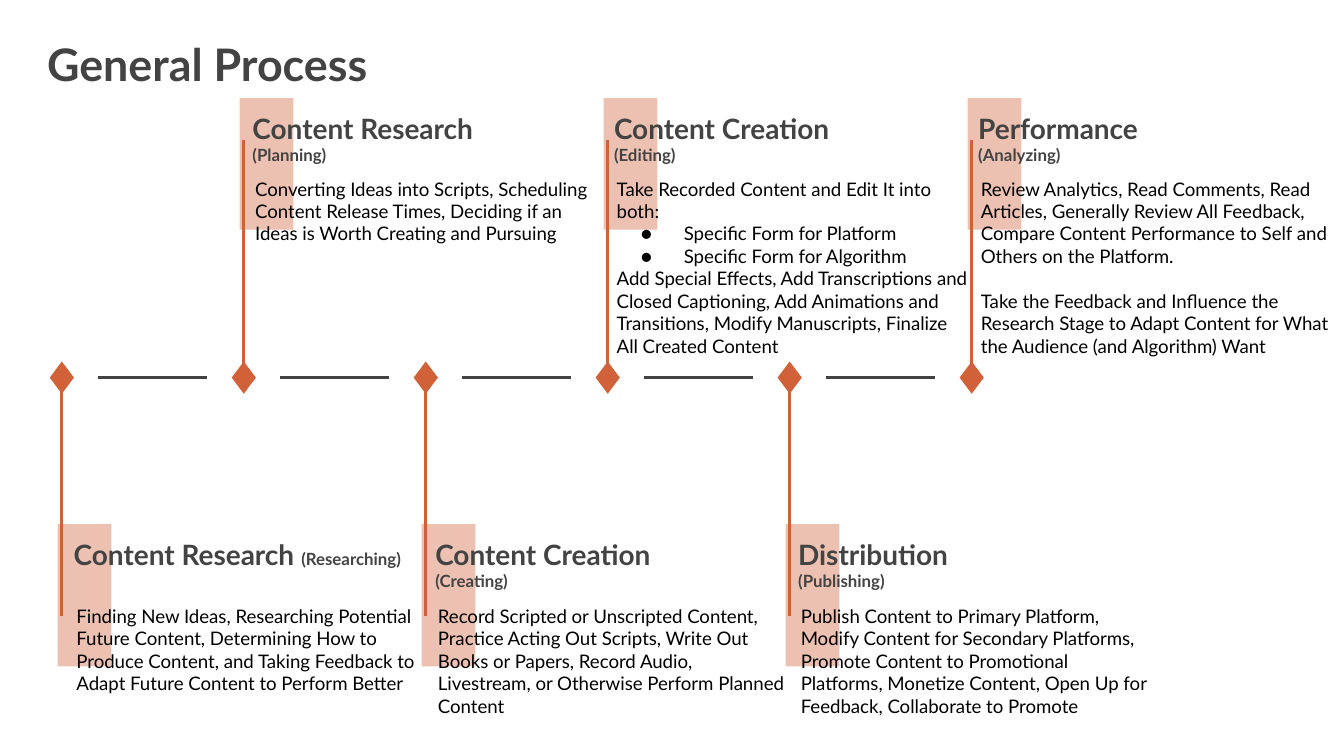
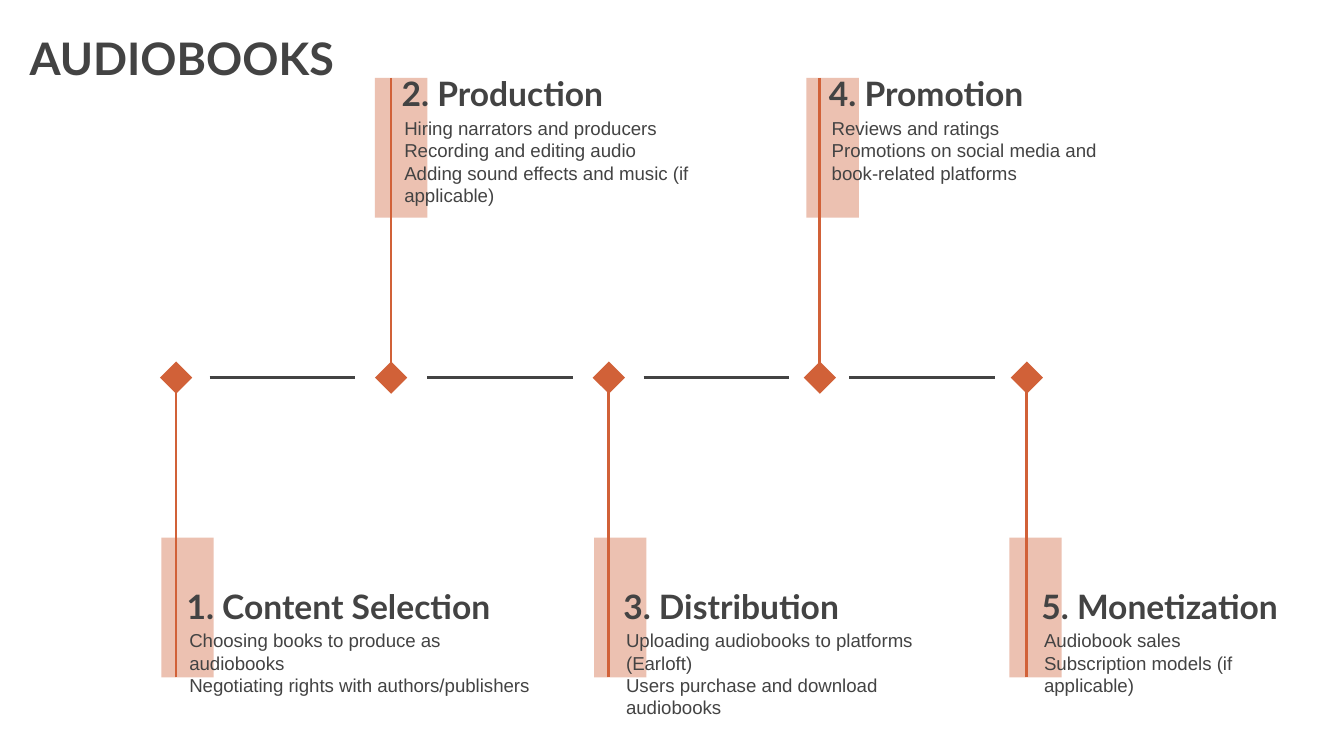
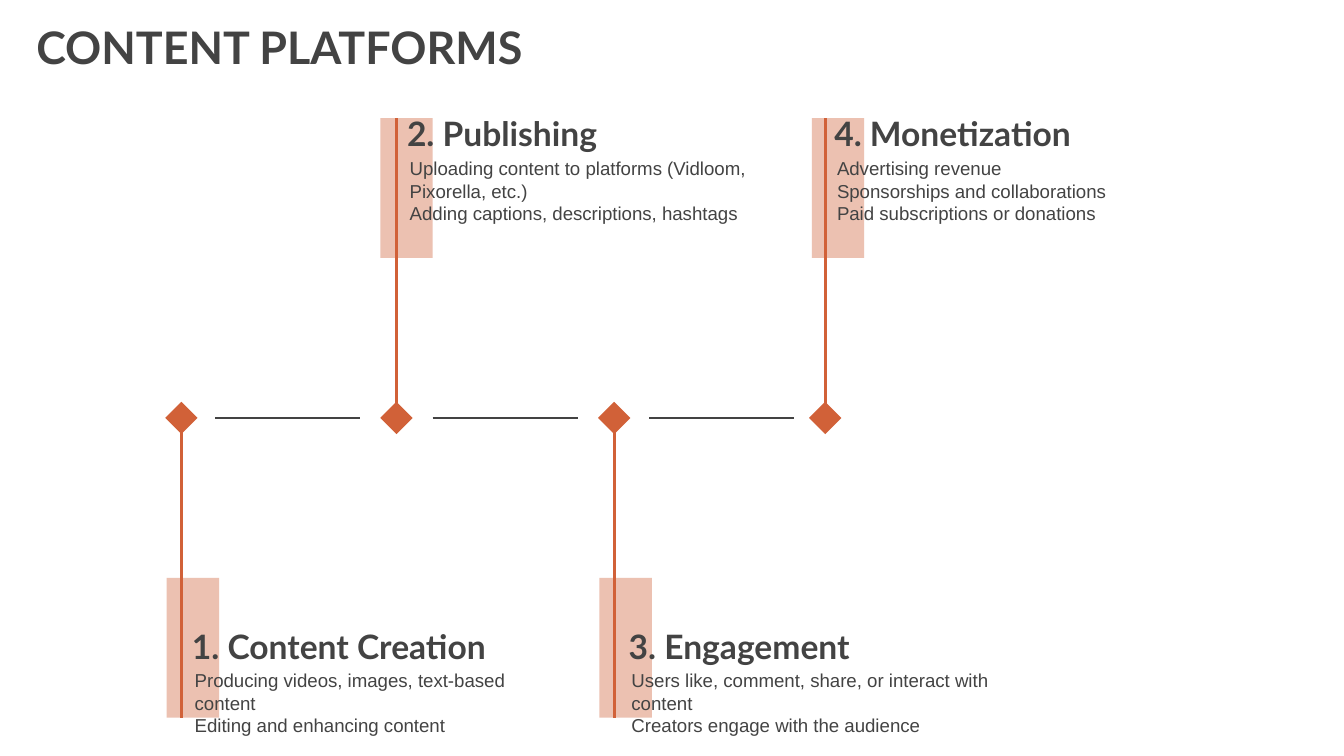
from copy import deepcopy
from dataclasses import dataclass

from lxml import etree
from pptx import Presentation
from pptx import util as u
from pptx.dml.color import RGBColor
from pptx.enum import shapes, text
from pptx.oxml import ns

GRAY, ORANGE, PEACH, BLACK = "434343", "D16138", "DF957A", "000000"
LATO, ARIAL = "Lato", "Arial"
TITLE_ONLY = 5


@dataclass
class Row:
    """Heights, in inches, of the parts above or below the axis."""
    band_top: float
    band_height: float
    stem_end: float
    heading_top: float
    heading_height: float
    body_top: float
    body_height: float

    def shifted(self, dy):
        return Row(self.band_top + dy, self.band_height, self.stem_end + dy,
                   self.heading_top + dy, self.heading_height,
                   self.body_top + dy, self.body_height)


@dataclass
class Line:
    text: str
    bullet: bool = False
    before: float = 0


@dataclass
class Step:
    stem: float
    band: float
    text_left: float
    heading: list  # paragraphs, each a list of (text, size)
    body: list
    heading_width: float = 2.81
    body_width: float = 2.81


@dataclass
class Timeline:
    axis: float
    marker_width: float
    band_width: float
    lower: Row
    upper: Row
    body_font: str
    body_color: str
    link_width: float


def rgb(color):
    return RGBColor.from_string(color)


def add_child(parent, tag, **attributes):
    return etree.SubElement(parent, ns.qn(tag), attributes)


def add_span(para, words, *, size, font=LATO, color=GRAY, bold=False):
    """Add a run; a newline at the end of words becomes a line break."""
    span = para.add_run()
    span.text = words.rstrip("\n")
    span.font.size = u.Pt(size)
    span.font.name = font
    span.font.bold = bold
    span.font.color.rgb = rgb(color)
    if words.endswith("\n"):
        para.add_line_break()
        para._p[-1].append(deepcopy(span._r.rPr))


def add_bullet(para, color, size):
    properties = para._p.get_or_add_pPr()
    properties.set("marL", str(u.Inches(0.5)))
    properties.set("indent", str(u.Inches(-0.32)))
    add_child(add_child(properties, "a:buClr"), "a:srgbClr", val=color)
    add_child(properties, "a:buSzPts", val=str(size * 100))
    add_child(properties, "a:buFont", typeface=LATO)
    add_child(properties, "a:buChar", char="●")


def prepare_frame(frame):
    frame.word_wrap = True
    frame.auto_size = text.MSO_AUTO_SIZE.NONE
    frame.vertical_anchor = text.MSO_ANCHOR.TOP
    frame.margin_left = frame.margin_right = u.Inches(0.1)
    frame.margin_top = frame.margin_bottom = u.Inches(0.1)


class Deck:
    def __init__(self):
        self.deck = Presentation()
        self.deck.slide_width = u.Inches(10)
        self.deck.slide_height = u.Inches(10 * 9 / 16)
        self.page = None

    def new_page(self, title, left, top, width):
        self.page = self.deck.slides.add_slide(self.deck.slide_layouts[TITLE_ONLY])
        box = self.page.shapes.title
        box.left, box.top = u.Inches(left), u.Inches(top)
        box.width, box.height = u.Inches(width), u.Inches(0.53)
        prepare_frame(box.text_frame)
        para = box.text_frame.paragraphs[0]
        para.alignment = text.PP_ALIGN.LEFT
        add_span(para, title, size=24, bold=True)

    def shape(self, kind, left, top, width, height, color, opacity=100):
        shape = self.page.shapes.add_shape(
            kind, u.Inches(left), u.Inches(top), u.Inches(width), u.Inches(height))
        shape.shadow.inherit = False
        shape.fill.solid()
        shape.fill.fore_color.rgb = rgb(color)
        shape.line.fill.background()
        if opacity < 100:
            fill = shape._element.spPr.find(".//" + ns.qn("a:srgbClr"))
            add_child(fill, "a:alpha", val=str(opacity * 1000))

    def line(self, x1, y1, x2, y2, color):
        line = self.page.shapes.add_connector(
            shapes.MSO_CONNECTOR.STRAIGHT,
            u.Inches(x1), u.Inches(y1), u.Inches(x2), u.Inches(y2))
        line.line.color.rgb = rgb(color)
        line.line.width = u.Pt(1.5)
        add_child(line._element.spPr, "a:effectLst")

    def text_box(self, left, top, width, height):
        """Return a function that gives the next paragraph of a new box."""
        box = self.page.shapes.add_textbox(
            u.Inches(left), u.Inches(top), u.Inches(width), u.Inches(height))
        frame = box.text_frame
        prepare_frame(frame)
        first = iter(frame.paragraphs)
        return lambda: next(first, None) or frame.add_paragraph()

    def heading(self, step, row):
        next_para = self.text_box(step.text_left, row.heading_top,
                                  step.heading_width, row.heading_height)
        for spans in step.heading:
            para = next_para()
            for words, size in spans:
                add_span(para, words, size=size, bold=True)

    def body(self, step, row, font, color):
        next_para = self.text_box(step.text_left + 0.02, row.body_top,
                                  step.body_width, row.body_height)
        for line in step.body:
            para = next_para()
            if line.bullet:
                add_bullet(para, color, 10)
            if line.before:
                para.space_before = u.Pt(line.before)
            add_span(para, line.text, size=10, font=font, color=color)

    def timeline(self, style, steps, links):
        """Draw steps alternately below and above the axis."""
        placed = [(step, (style.lower, style.upper)[i % 2])
                  for i, step in enumerate(steps)]
        for step, row in placed:
            self.shape(shapes.MSO_SHAPE.RECTANGLE, step.band, row.band_top,
                       style.band_width, row.band_height, PEACH, opacity=58)
            self.line(step.stem, row.stem_end, step.stem, style.axis, ORANGE)
            self.shape(shapes.MSO_SHAPE.DIAMOND, step.stem - style.marker_width / 2,
                       style.axis - 0.12, style.marker_width, 0.24, ORANGE)
        for left in links:
            self.line(left, style.axis, left + style.link_width, style.axis, GRAY)
        for step, row in placed:
            self.body(step, row, style.body_font, style.body_color)
            self.heading(step, row)


def general_process(deck):
    deck.new_page("General Process", 0.25, 0.17, 3.81)
    style = Timeline(
        axis=2.81, marker_width=0.18, band_width=0.4,
        lower=Row(3.9, 1.06, 4.58, 3.9, 0.46, 4.4, 0.9),
        upper=Row(0.73, 0.98, 1.04, 0.73, 0.46, 1.22, 1.06),
        body_font=LATO, body_color=BLACK, link_width=0.81)
    pitch = 6.77 / 5
    stages = [
        (0.45, [[("Content Research ", 15), ("(Researching)", 9)]], [
            Line("Finding New Ideas, Researching Potential Future Content, Determining "
                 "How to Produce Content, and Taking Feedback to Adapt Future Content "
                 "to Perform Better")]),
        (1.78, [[("Content Research", 15)], [("(Planning)", 9)]], [
            Line("Converting Ideas into Scripts, Scheduling Content Release Times, "
                 "Deciding if an Ideas is Worth Creating and Pursuing")]),
        (3.14, [[("Content Creation\n", 15), ("(Creating)", 9)]], [
            Line("Record Scripted or Unscripted Content, Practice Acting Out Scripts, "
                 "Write Out Books or Papers, Record Audio, Livestream, or Otherwise "
                 "Perform Planned Content")]),
        (4.47, [[("Content Creation\n", 15), ("(Editing)", 9)]], [
            Line("Take Recorded Content and Edit It into both:"),
            Line("Specific Form for Platform", bullet=True),
            Line("Specific Form for Algorithm", bullet=True),
            Line("Add Special Effects, Add Transcriptions and Closed Captioning, Add "
                 "Animations and Transitions, Modify Manuscripts, Finalize All Created "
                 "Content")]),
        (5.84, [[("Distribution", 15)], [("(Publishing)", 9)]], [
            Line("Publish Content to Primary Platform, Modify Content for Secondary "
                 "Platforms, Promote Content to Promotional Platforms, Monetize Content, "
                 "Open Up for Feedback, Collaborate to Promote")]),
        (7.18, [[("Performance \n", 15), ("(Analyzing)", 9)]], [
            Line("Review Analytics, Read Comments, Read Articles, Generally Review All "
                 "Feedback, Compare Content Performance to Self and Others on the "
                 "Platform."),
            Line("Take the Feedback and Influence the Research Stage to Adapt Content "
                 "for What the Audience (and Algorithm) Want", before=12)]),
    ]
    steps = [Step(0.46 + i * pitch, 0.43 + i * pitch, left, heading, body)
             for i, (left, heading, body) in enumerate(stages)]
    deck.timeline(style, steps, [0.73 + i * pitch for i in range(len(steps) - 1)])


# stem, band left, text left, heading width, body width
MEDIA_COLUMNS = [
    (1.31, 1.2, 1.29, 2.81, 2.81),
    (2.91, 2.79, 2.89, 2.55, 2.81),
    (4.53, 4.42, 4.54, 2.77, 2.81),
    (6.1, 6.0, 6.07, 2.64, 2.33),
    (7.64, 7.51, 7.65, 2.25, 2.25),
]
MEDIA_LINKS = [1.56, 3.18, 4.79, 6.32]
MEDIA_LOWER = Row(4.0, 1.04, 5.04, 4.26, 0.46, 4.58, 0.7)
MEDIA_UPPER = Row(0.58, 1.04, 0.58, 0.44, 0.49, 0.77, 0.74)


def media_timeline(deck, stages, dx=0.0, dy=0.0, wide=None):
    """Draw numbered stages; wide maps a stage index to its body width."""
    style = Timeline(
        axis=2.81 + dy, marker_width=0.24, band_width=0.39,
        lower=MEDIA_LOWER.shifted(dy), upper=MEDIA_UPPER.shifted(dy),
        body_font=ARIAL, body_color=GRAY, link_width=1.08)
    steps = []
    for i, ((name, lines), column) in enumerate(zip(stages, MEDIA_COLUMNS)):
        stem, band, left, heading_width, body_width = column
        steps.append(Step(
            stem + dx, band + dx, left + dx, [[(f"{i + 1}. {name}", 18)]],
            [Line(line) for line in lines], heading_width,
            (wide or {}).get(i, body_width)))
    deck.timeline(style, steps, [x + dx for x in MEDIA_LINKS[:len(stages) - 1]])


def audiobooks(deck):
    deck.new_page("AUDIOBOOKS", 0.12, 0.13, 3.81)
    media_timeline(deck, [
        ("Content Selection", ["Choosing books to produce as audiobooks",
                               "Negotiating rights with authors/publishers"]),
        ("Production", ["Hiring narrators and producers",
                        "Recording and editing audio",
                        "Adding sound effects and music (if applicable)"]),
        ("Distribution", ["Uploading audiobooks to platforms (Earloft)",
                          "Users purchase and download audiobooks"]),
        ("Promotion", ["Reviews and ratings",
                       "Promotions on social media and book-related platforms"]),
        ("Monetization", ["Audiobook sales",
                          "Subscription models (if applicable)"]),
    ])


def content_platforms(deck):
    deck.new_page("CONTENT PLATFORMS", 0.17, 0.05, 5.15)
    media_timeline(deck, [
        ("Content Creation", ["Producing videos, images, text-based content",
                              "Editing and enhancing content"]),
        ("Publishing", ["Uploading content to platforms (Vidloom, Pixorella, etc.)",
                        "Adding captions, descriptions, hashtags"]),
        ("Engagement", ["Users like, comment, share, or interact with content",
                        "Creators engage with the audience"]),
        ("Monetization", ["Advertising revenue",
                          "Sponsorships and collaborations",
                          "Paid subscriptions or donations"]),
    ], dx=0.04, dy=0.3, wide={2: 3.21})


def main():
    deck = Deck()
    general_process(deck)
    audiobooks(deck)
    content_platforms(deck)
    deck.deck.save("out.pptx")


if __name__ == "__main__":
    main()
